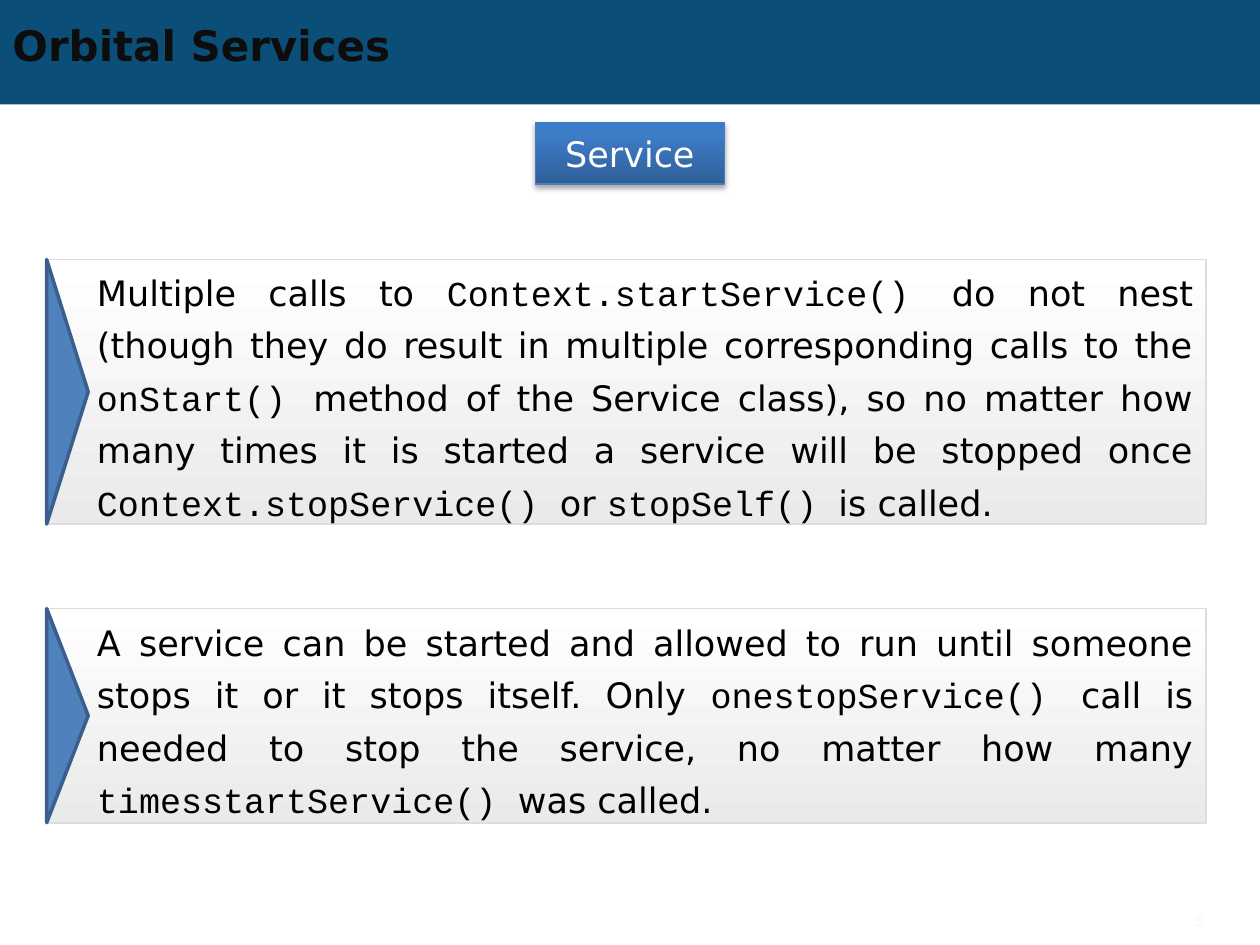
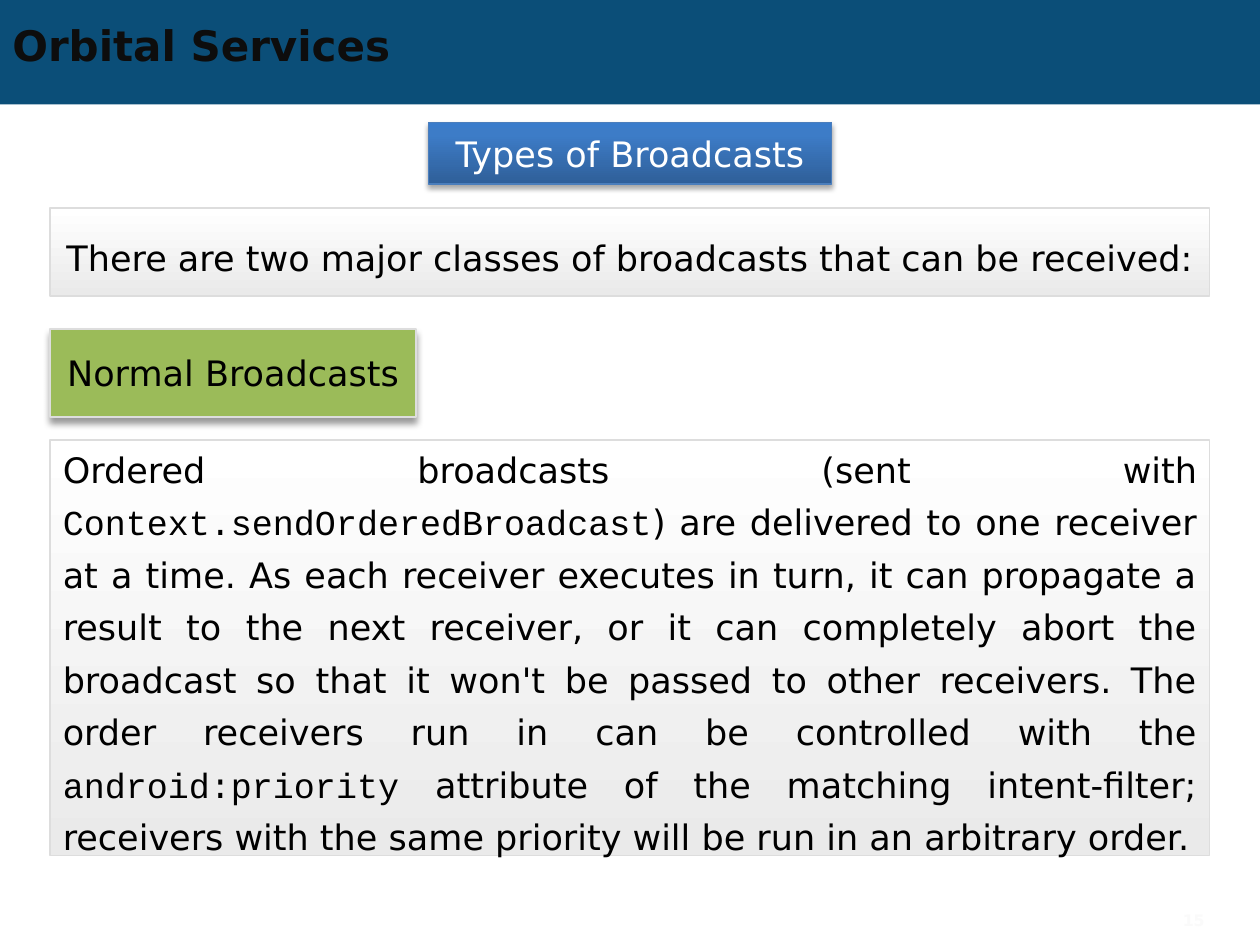
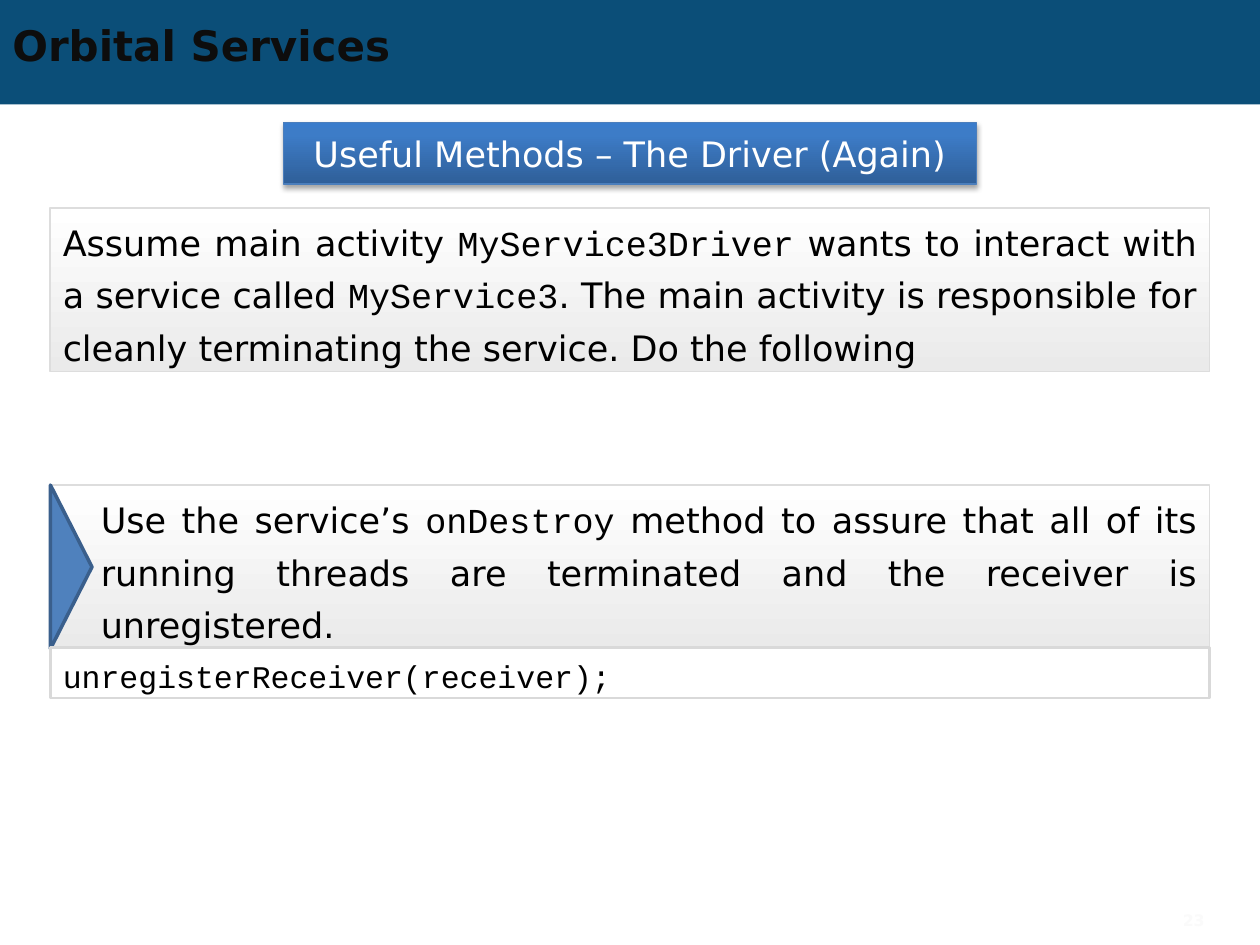
from lxml import etree
from pptx import Presentation
from pptx.dml.color import RGBColor
from pptx.enum.shapes import MSO_SHAPE
from pptx.enum.text import MSO_ANCHOR, PP_ALIGN
from pptx.oxml.ns import qn
from pptx.util import Inches, Pt

RECT, TRIANGLE = MSO_SHAPE.RECTANGLE, MSO_SHAPE.ISOSCELES_TRIANGLE
MIDDLE = MSO_ANCHOR.MIDDLE
LEFT, CENTER, RIGHT, JUSTIFY = PP_ALIGN.LEFT, PP_ALIGN.CENTER, PP_ALIGN.RIGHT, PP_ALIGN.JUSTIFY

SANS, MONO = "DejaVu Sans", "Courier New"
BLACK, WHITE = "000000", "FFFFFF"
BAND, TITLE, PAGE = "0B4E78", "0D0D0D", "FAFAFA"
GREEN, BLUE, BLUE_LINE = "9BBB59", "4F81BD", "3A5F8C"
PANEL_LINE, CODE_LINE, HEADING_LINE = "DDDDDD", "D9D9D9", "4B7EBC"
PANEL_GRADIENT = (90, [(0, WHITE), (100, "EAEAEA")])
HEADING_GRADIENT = (270, [(0, "2F5F99"), (80, "3D7CC7"), (100, "3A7CCB")])
HEADING_SHADOW, LABEL_SHADOW = (35, 3.1, 1.8), (40, 4, 3)
PANEL_W, ARROW_W = 9.2, 0.33


def add_box(shapes, x, y, w, h, fill, line=None, line_w=1, shadow=None, shape=RECT):
    sp = shapes.add_shape(shape, Inches(x), Inches(y), Inches(w), Inches(h))
    sp.shadow.inherit = False
    if isinstance(fill, tuple):
        angle, stops = fill
        sp.fill.gradient()
        sp.fill.gradient_angle = 360 - angle
        stop_list = sp._element.spPr.find(qn("a:gradFill")).find(qn("a:gsLst"))
        for old in list(stop_list):
            stop_list.remove(old)
        for pos, color in stops:
            gs = etree.SubElement(stop_list, qn("a:gs"), pos=str(pos * 1000))
            etree.SubElement(gs, qn("a:srgbClr"), val=color)
    else:
        sp.fill.solid()
        sp.fill.fore_color.rgb = RGBColor.from_string(fill)
    if line:
        sp.line.color.rgb = RGBColor.from_string(line)
        sp.line.width = Pt(line_w)
    else:
        sp.line.fill.background()
    if shadow:
        alpha, blur, dist = shadow
        effects = sp._element.spPr.find(qn("a:effectLst"))
        outer = etree.SubElement(effects, qn("a:outerShdw"), blurRad=str(Pt(blur)),
                                 dist=str(Pt(dist)), dir="5400000", rotWithShape="0")
        color = etree.SubElement(outer, qn("a:srgbClr"), val=BLACK)
        etree.SubElement(color, qn("a:alpha"), val=str(alpha * 1000))
    return sp


def write(sp, text, align, color=BLACK, size=20, bold=False, spacing=None,
          insets=(0.1, 0.05, 0.1, 0.05)):
    tf = sp.text_frame
    tf.word_wrap = True
    tf.vertical_anchor = MIDDLE
    tf.margin_left, tf.margin_top, tf.margin_right, tf.margin_bottom = map(Inches, insets)
    p = tf.paragraphs[0]
    p.alignment = align
    if spacing:
        p.line_spacing = Pt(spacing)
    for i, part in enumerate(text.split("`")):
        if part:
            r = p.add_run()
            r.text = part
            r.font.name = MONO if i % 2 else SANS
            r.font.size = Pt(size)
            r.font.bold = bold
            r.font.color.rgb = RGBColor.from_string(color)


slides = [
    ("5", "Service", 1.5, [
        ("arrow", 0.37, 2.06, 2.1,
         "Multiple calls to `Context.startService() `do not nest (though they do result in "
         "multiple corresponding calls to the `onStart() `method of the Service class), so no "
         "matter how many times it is started a service will be stopped once "
         "`Context.stopService() `or `stopSelf() `is called."),
        ("arrow", 0.37, 4.83, 1.7,
         "A service can be started and allowed to run until someone stops it or it stops "
         "itself. Only `onestopService() `call is needed to stop the service, no matter how "
         "many `timesstartService() `was called."),
    ]),
    ("15", "Types of Broadcasts", 3.2, [
        ("centered", 0.4, 1.65, 0.7,
         "There are two major classes of broadcasts that can be received:"),
        ("label", 0.4, 2.61, 0.7, "Normal Broadcasts"),
        ("plain", 0.4, 3.49, 3.3,
         "Ordered broadcasts (sent with `Context.sendOrderedBroadcast`) are delivered to one "
         "receiver at a time. As each receiver executes in turn, it can propagate a result to "
         "the next receiver, or it can completely abort the broadcast so that it won't be "
         "passed to other receivers. The order receivers run in can be controlled with the "
         "`android:priority` attribute of the matching intent-filter; receivers with the same "
         "priority will be run in an arbitrary order."),
    ]),
    ("23", "Useful Methods – The Driver (Again)", 5.5, [
        ("plain", 0.4, 1.65, 1.3,
         "Assume main activity `MyService3Driver` wants to interact with a service called "
         "`MyService3`. The main activity is responsible for cleanly terminating the service. "
         "Do the following"),
        ("arrow", 0.4, 3.85, 1.3,
         "Use the service’s `onDestroy` method to assure that all of its running threads are "
         "terminated and the receiver is unregistered."),
        ("code", 0.4, 5.14, 0.4, "`unregisterReceiver(receiver);`"),
    ]),
]

prs = Presentation()
prs.slide_width, prs.slide_height = Inches(10), Inches(7.5)

for page, heading, heading_w, blocks in slides:
    s = prs.slides.add_slide(prs.slide_layouts[6])
    add_box(s.shapes, 0, 0, 10, 0.83, BAND)
    title = s.shapes.add_textbox(0, Inches(0.14), Inches(9), Inches(0.43))
    write(title, "Orbital Services", LEFT, TITLE, 24, True)
    number = s.shapes.add_textbox(Inches(8.6), Inches(7.15), Inches(1.06), Inches(0.3))
    write(number, page, RIGHT, PAGE, 9, True)
    sp = add_box(s.shapes, (10 - heading_w) / 2, 0.97, heading_w, 0.49,
                 HEADING_GRADIENT, HEADING_LINE, 0.75, HEADING_SHADOW)
    write(sp, heading, CENTER, WHITE)

    for kind, x, y, h, text in blocks:
        if kind == "label":
            sp = add_box(s.shapes, x, y, 2.9, h, GREEN, PANEL_LINE, 1, LABEL_SHADOW)
            write(sp, text, CENTER, insets=(0, 0, 0, 0))
        elif kind == "code":
            sp = add_box(s.shapes, x, y, PANEL_W, h, WHITE, CODE_LINE, 1.5)
            write(sp, text, LEFT, size=18, insets=(0.1, 0.08, 0.1, 0.03))
        elif kind == "arrow":
            group = s.shapes.add_group_shape()
            sp = add_box(group.shapes, x, y, PANEL_W, h, PANEL_GRADIENT, PANEL_LINE)
            write(sp, text, JUSTIFY, spacing=30, insets=(0.4, 0, 0.1, 0))
            arrow = add_box(group.shapes, x + (ARROW_W - h) / 2, y + (h - ARROW_W) / 2,
                            h, ARROW_W, BLUE, BLUE_LINE, 2, shape=TRIANGLE)
            arrow.rotation = 90
        else:
            sp = add_box(s.shapes, x, y, PANEL_W, h, PANEL_GRADIENT, PANEL_LINE)
            write(sp, text, CENTER if kind == "centered" else JUSTIFY, spacing=30)

prs.save("out.pptx")
